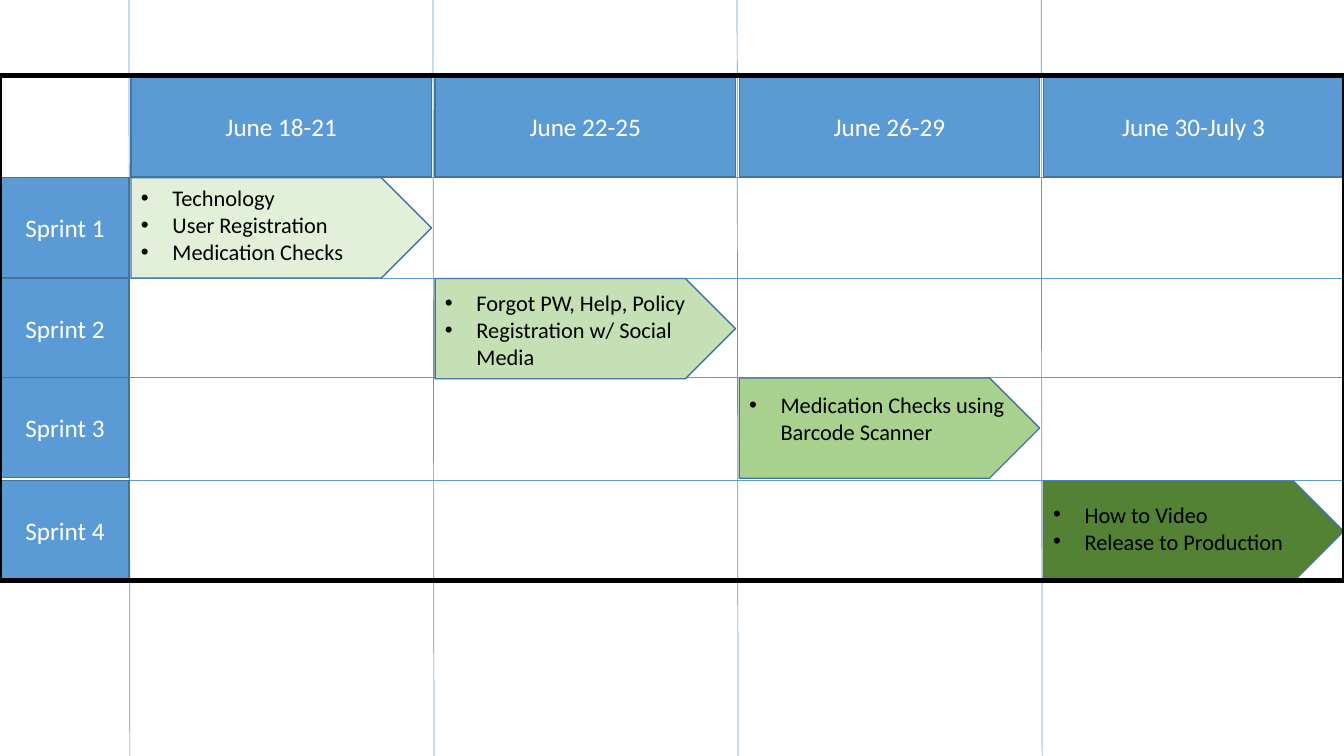
from lxml import etree
from pptx import Presentation
from pptx.dml.color import RGBColor
from pptx.enum.shapes import MSO_CONNECTOR, MSO_SHAPE
from pptx.enum.text import MSO_ANCHOR, MSO_AUTO_SIZE, PP_ALIGN
from pptx.oxml.ns import qn
from pptx.util import Pt

RECT, PLATE = MSO_SHAPE.RECTANGLE, MSO_SHAPE.PENTAGON
LINE = MSO_CONNECTOR.STRAIGHT
CENTER, MIDDLE = PP_ALIGN.CENTER, MSO_ANCHOR.MIDDLE
GROW = MSO_AUTO_SIZE.SHAPE_TO_FIT_TEXT

WHITE = RGBColor(0xFF, 0xFF, 0xFF)
BLACK = RGBColor(0, 0, 0)
BLUE = RGBColor(0x5B, 0x9B, 0xD5)
EDGE = RGBColor(0x43, 0x73, 0x9E)
MINT = RGBColor(0xE2, 0xF0, 0xD9)
PALE = RGBColor(0xC5, 0xE0, 0xB4)
LEAF = RGBColor(0xA9, 0xD1, 0x8E)
MOSS = RGBColor(0x54, 0x82, 0x35)

WIDE, HIGH = 960, 540


class Board:
    font = "Calibri"
    head = {"size": Pt(18), "color": WHITE}
    body = {"size": Pt(16), "color": BLACK}

    def __init__(self, slide):
        self.slide = slide

    def label(self, para, text, style):
        run = para.add_run()
        run.text = text
        run.font.name = self.font
        for key, value in style.items():
            if key == "color":
                run.font.color.rgb = value
            else:
                setattr(run.font, key, value)

    def line(self, x1, y1, x2, y2):
        line = self.slide.shapes.add_connector(
            LINE, Pt(x1), Pt(y1), Pt(x2), Pt(y2))
        line.line.color.rgb = BLUE
        line.line.width = Pt(0.5)
        etree.SubElement(line._element.spPr, qn("a:effectLst"))

    def shape(self, kind, box, fill=None, edge=EDGE, width=1, text=None):
        shape = self.slide.shapes.add_shape(kind, *map(Pt, box))
        shape.shadow.inherit = False
        if fill is None:
            shape.fill.background()
        else:
            shape.fill.solid()
            shape.fill.fore_color.rgb = fill
        shape.line.color.rgb = edge
        shape.line.width = Pt(width)
        if text:
            frame = shape.text_frame
            frame.vertical_anchor = MIDDLE
            frame.paragraphs[0].alignment = CENTER
            self.label(frame.paragraphs[0], text, self.head)

    def bullets(self, box, items):
        frame = self.slide.shapes.add_textbox(*map(Pt, box)).text_frame
        frame.word_wrap = True
        frame.auto_size = GROW
        for i, item in enumerate(items):
            para = frame.add_paragraph() if i else frame.paragraphs[0]
            self.label(para, item, self.body)
            props = para._p.get_or_add_pPr()
            props.set("marL", str(Pt(22.5)))
            props.set("indent", str(-Pt(22.5)))
            etree.SubElement(props, qn("a:buFont"), typeface="Arial")
            etree.SubElement(props, qn("a:buChar"), char="•")


deck = Presentation()
deck.slide_width, deck.slide_height = Pt(WIDE), Pt(HIGH)
board = Board(deck.slides.add_slide(deck.slide_layouts[6]))

# Grid
TOP, END = 54, 414
ROWS = [126.7, 198.7, 269.7, 343.4]
COLS = [93.6 + 217.2 * i for i in range(4)]
SPAN, TALL = 214.6, 71.6
for x in COLS:
    board.line(x - 1.5, 0, x - 0.8, HIGH)
for y in [TOP, *ROWS, END]:
    board.line(0, y, WIDE, y)

# Sprint and date headings
DATES = ["June 18-21", "June 22-25", "June 26-29", "June 30-July 3"]
for i, y in enumerate(ROWS, 1):
    board.shape(RECT, (0.7, y, 91.5, TALL), BLUE, text=f"Sprint {i}")
for x, date in zip(COLS, DATES):
    board.shape(RECT, (x, TOP + 0.4, SPAN, 72), BLUE, text=date)

# Work in each sprint: colour, text drop, text width and height, items
WORK = [
    (MINT, 1.5, 176, 85,
     ["Technology", "User Registration", "Medication Checks"]),
    (PALE, 4.3, 200, 65.5,
     ["Forgot PW, Help, Policy", "Registration w/ Social Media"]),
    (LEAF, 6.1, 200, 46, ["Medication Checks using Barcode Scanner"]),
    (MOSS, 10.8, 200, 65.5, ["How to Video", "Release to Production"]),
]
for x, y, (fill, drop, width, height, items) in zip(COLS, ROWS, WORK):
    board.shape(PLATE, (x, y + 0.3, SPAN, TALL), fill)
    board.bullets((x, y + drop, width, height), items)

# Outer frame
board.shape(RECT, (0, TOP, WIDE, END - TOP + 0.5), edge=BLACK, width=3.25)

deck.save("out.pptx")
